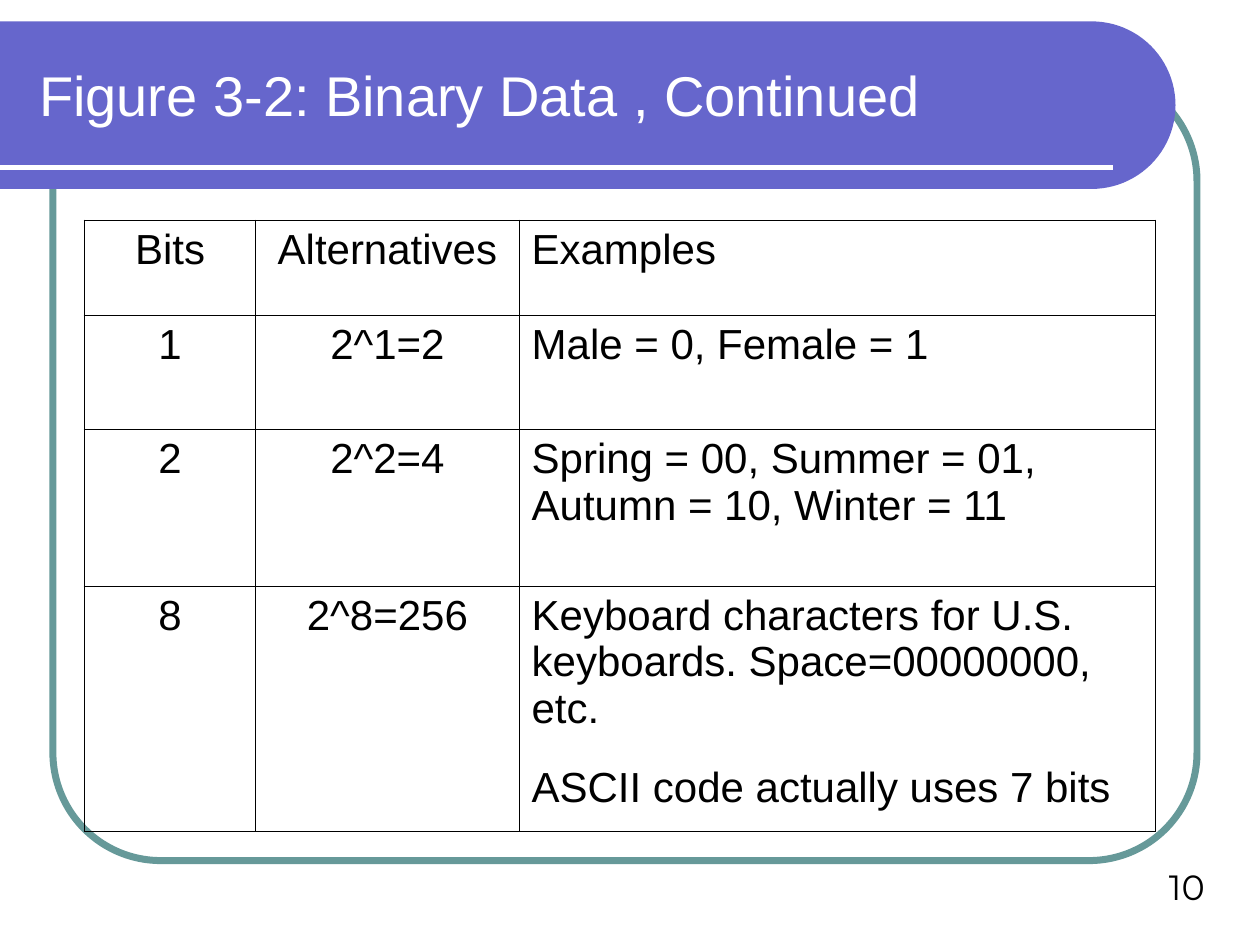
from math import cos, pi, sin

from lxml.etree import SubElement
from pptx import Presentation
from pptx.dml.color import RGBColor
from pptx.enum.shapes import MSO_CONNECTOR, MSO_SHAPE
from pptx.enum.text import MSO_ANCHOR, MSO_AUTO_SIZE, PP_ALIGN
from pptx.oxml.ns import qn
from pptx.util import Inches, Pt

# Content: a cell is a list of paragraphs, a paragraph a list of lines
TITLE = "Figure 3-2: Binary Data , Continued"
PAGE_NUMBER = "10"
ROWS = [
    ([["Bits"]], [["Alternatives"]], [["Examples"]]),
    ([["1"]], [["2^1=2"]], [["Male = 0, Female = 1"]]),
    ([["2"]], [["2^2=4"]],
     [["Spring = 00, Summer = 01,", "Autumn = 10, Winter = 11"]]),
    ([["8"]], [["2^8=256"]],
     [["Keyboard characters for U.S. keyboards. Space=00000000, etc."],
      ["ASCII code actually uses 7 bits"]]),
]
COLUMN_WIDTHS = [1.36, 2.09, 5.05]
ROW_HEIGHTS = [0.75, 0.91, 1.24, 1.95]
COLUMN_ALIGNMENTS = [PP_ALIGN.CENTER, PP_ALIGN.CENTER, PP_ALIGN.LEFT]

# Style
BLACK, WHITE, PURPLE, TEAL = "000000", "FFFFFF", "6666CC", "669999"
OUTER_BORDER, INNER_BORDER = 1.08, 0.45


def color(value):
    return RGBColor.from_string(value)


def box_of(*lengths):
    return [Inches(length) for length in lengths]


def add_run(para, text, size, value, font="Arial"):
    span = para.add_run()
    span.text = text
    span.font.size = Pt(size)
    span.font.name = font
    span.font.color.rgb = color(value)


def set_border(cell, side, width):
    line = SubElement(cell._tc.get_or_add_tcPr(), qn(f"a:ln{side}"),
                      w=str(Pt(width)))
    fill = SubElement(line, qn("a:solidFill"))
    SubElement(fill, qn("a:srgbClr"), val=BLACK)


def add_frame(page):
    frame = page.shapes.add_shape(MSO_SHAPE.ROUNDED_RECTANGLE,
                                  *box_of(0.42, 0.58, 9.08, 6.25))
    frame.adjustments[0] = 0.137
    frame.shadow.inherit = False
    frame.fill.background()
    frame.line.color.rgb = color(TEAL)
    frame.line.width = Pt(4)


def add_banner(page):
    # Rectangle that ends in a half circle on the right
    top, bottom, right, steps = 0.17, 1.5, 9.33, 48
    radius = (bottom - top) / 2
    angles = [pi * step / steps - pi / 2 for step in range(steps + 1)]
    arc = [(Inches(right - radius + radius * cos(angle)),
            Inches(top + radius + radius * sin(angle))) for angle in angles]
    builder = page.shapes.build_freeform(0, Inches(top))
    builder.add_line_segments(arc + [(0, Inches(bottom))], close=True)
    banner = builder.convert_to_shape()
    banner.shadow.inherit = False
    banner.fill.solid()
    banner.fill.fore_color.rgb = color(PURPLE)
    banner.line.fill.background()

    rule = page.shapes.add_connector(MSO_CONNECTOR.STRAIGHT,
                                     *box_of(0, 1.33, 8.83, 1.33))
    rule.line.color.rgb = color(WHITE)
    rule.line.width = Pt(3)
    SubElement(rule._element.spPr, qn("a:effectLst"))


def add_title(page):
    title = page.shapes.title
    title.left, title.top, title.width, title.height = box_of(
        0.21, 0.25, 8.77, 1)
    frame = title.text_frame
    frame.auto_size = MSO_AUTO_SIZE.NONE
    frame.vertical_anchor = MSO_ANCHOR.MIDDLE
    para = frame.paragraphs[0]
    para.alignment = PP_ALIGN.LEFT
    add_run(para, TITLE, 32, WHITE)
    page.shapes._spTree.append(title._element)  # bring in front of the banner


def fill_cell(cell, paragraphs, alignment):
    frame = cell.text_frame
    for index, lines in enumerate(paragraphs):
        para = frame.add_paragraph() if index else frame.paragraphs[0]
        para.alignment = alignment
        para.space_before = Pt(18)
        for number, line in enumerate(lines):
            if number:
                para.add_line_break()
            add_run(para, line, 24, BLACK)


def add_bits_table(page):
    last_row, last_column = len(ROWS) - 1, len(COLUMN_WIDTHS) - 1
    table = page.shapes.add_table(
        len(ROWS), len(COLUMN_WIDTHS),
        *box_of(0.67, 1.75, sum(COLUMN_WIDTHS), sum(ROW_HEIGHTS))).table
    table.first_row = table.horz_banding = False
    for column, width in zip(table.columns, COLUMN_WIDTHS):
        column.width = Inches(width)
    for row, height in zip(table.rows, ROW_HEIGHTS):
        row.height = Inches(height)
    for r, contents in enumerate(ROWS):
        for c, paragraphs in enumerate(contents):
            cell = table.cell(r, c)
            fill_cell(cell, paragraphs, COLUMN_ALIGNMENTS[c])
            cell.margin_left = cell.margin_right = Inches(0.1)
            cell.margin_top = cell.margin_bottom = Inches(0.05)
            # Borders come before the fill in the cell properties
            outer = {"L": c == 0, "R": c == last_column,
                     "T": r == 0, "B": r == last_row}
            for side, is_outer in outer.items():
                set_border(cell, side,
                           OUTER_BORDER if is_outer else INNER_BORDER)
            cell.fill.background()


def add_page_number(page):
    box = page.shapes.add_textbox(*box_of(7.33, 6.75, 2.33, 0.5))
    frame = box.text_frame
    frame.word_wrap = True
    frame.vertical_anchor = MSO_ANCHOR.BOTTOM
    para = frame.paragraphs[0]
    para.alignment = PP_ALIGN.RIGHT
    add_run(para, PAGE_NUMBER, 20, BLACK, "Montserrat")


def main():
    deck = Presentation()
    deck.slide_width, deck.slide_height = box_of(10, 7.5)
    page = deck.slides.add_slide(deck.slide_layouts[5])
    add_frame(page)
    add_banner(page)
    add_title(page)
    add_bits_table(page)
    add_page_number(page)
    deck.save("out.pptx")


if __name__ == "__main__":
    main()
